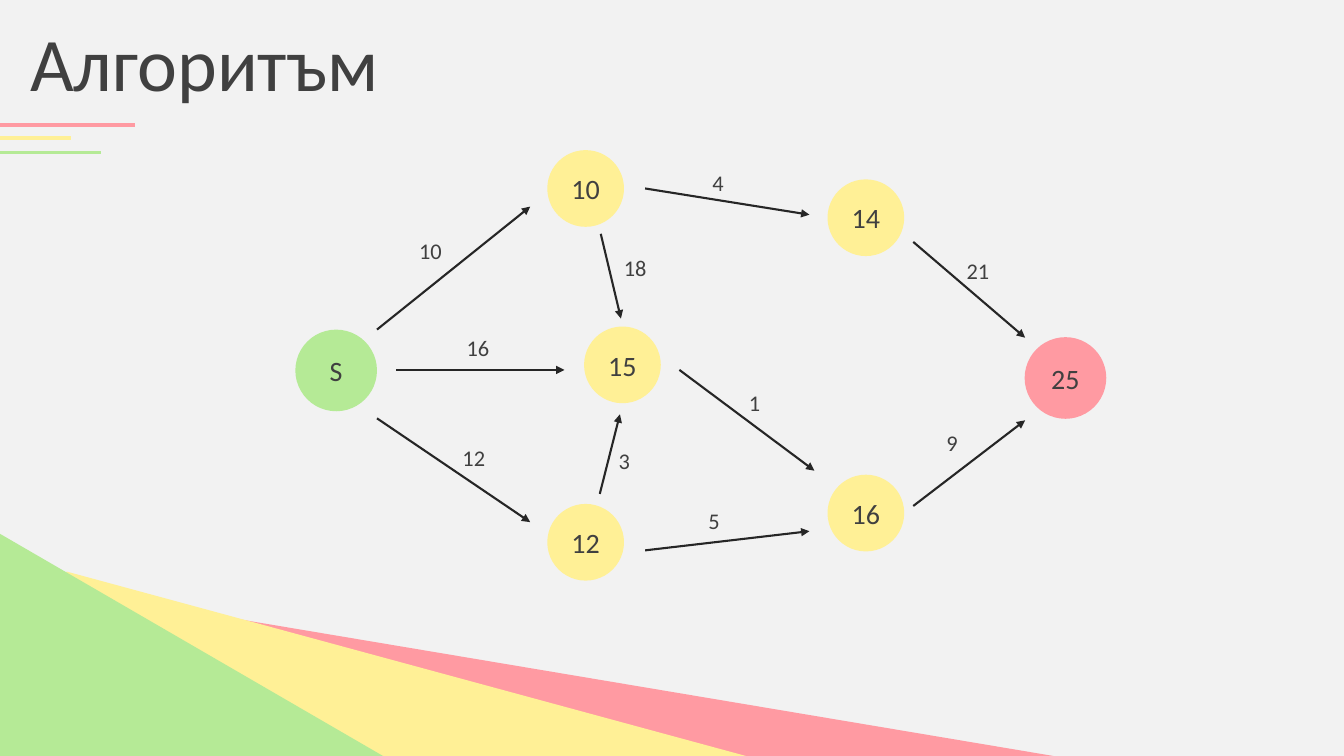
from dataclasses import dataclass
from lxml.etree import SubElement
from pptx import Presentation
from pptx.dml.color import RGBColor
from pptx.enum.shapes import MSO_CONNECTOR as Link, MSO_SHAPE as Form
from pptx.enum.text import MSO_ANCHOR as Anchor, MSO_AUTO_SIZE as Fit, PP_ALIGN as Align
from pptx.oxml.ns import qn
from pptx.util import Inches, Pt

GREEN = RGBColor(0xB5, 0xEA, 0x96)
YELLOW = RGBColor(0xFF, 0xF0, 0x96)
PINK = RGBColor(0xFF, 0x9A, 0xA2)
INK = RGBColor(0x40, 0x40, 0x40)
DARK = RGBColor(0x26, 0x26, 0x26)
PAPER = RGBColor(0xF2, 0xF2, 0xF2)

# The grid has square cells, ten to the inch
COLS, ROWS = 133.33, 75
Point = tuple[float, float]


def grid(*cells: float) -> list[int]:
    return [Inches(n / 10) for n in cells]


@dataclass
class Node:
    text: str
    mid: Point
    size: float = 7.4
    fill: RGBColor = YELLOW
    edge: bool = True


@dataclass
class Arc:
    cost: str
    start: Point
    end: Point
    label: Point


@dataclass
class Hill:
    left: float
    top: float
    width: float
    fill: RGBColor


@dataclass
class Stripe:
    row: float
    width: float
    tint: RGBColor


HILLS = [
    Hill(22.9, 61.3, 81.6, PINK),
    Hill(6.6, 56.7, 67.4, YELLOW),
    Hill(-0.1, 52.9, 38.1, GREEN),
]
STRIPES = [Stripe(12.4, 13.4, PINK), Stripe(13.7, 7, YELLOW), Stripe(15.1, 10, GREEN)]
NODES = [
    Node("S", (33.35, 36.75), 8.1, GREEN, False),
    Node("10", (58.1, 18.7)),
    Node("15", (61.75, 36.2)),
    Node("12", (58.1, 53.8)),
    Node("14", (85.9, 21.6)),
    Node("16", (85.9, 50.9)),
    Node("25", (105.7, 37.5), 8.1, PINK, False),
]
ARCS = [
    Arc("10", (37.4, 32.7), (52.6, 20.5), (40.6, 23)),
    Arc("16", (39.3, 36.7), (56, 36.7), (45.3, 32.7)),
    Arc("12", (37.4, 41.5), (52.6, 51.8), (44.9, 43.6)),
    Arc("4", (64, 18.7), (80.3, 21.3), (69.7, 16.3)),
    Arc("18", (59.6, 23.2), (61.6, 31.6), (60.9, 24.7)),
    Arc("3", (59.5, 49), (61.5, 41.1), (60.4, 43.9)),
    Arc("5", (64, 54.6), (80.3, 52.7), (69.3, 49.8)),
    Arc("1", (67.4, 36.7), (80.8, 46.7), (73.3, 38.1)),
    Arc("9", (90.6, 50.2), (101.7, 41.7), (92.9, 42.1)),
    Arc("21", (90.6, 24), (101.7, 33.5), (94.9, 25)),
]


def write(shape, text: str, size: float, align=Align.CENTER,
          anchor=Anchor.TOP, wrap: bool = True) -> None:
    frame = shape.text_frame
    frame.word_wrap = wrap
    frame.auto_size = Fit.NONE
    frame.vertical_anchor = anchor
    par = frame.paragraphs[0]
    par.alignment = align
    run = par.add_run()
    run.text = text
    run.font.name = "Calibri"
    run.font.size = Pt(size)
    run.font.color.rgb = INK


def block(slide, form, box: tuple, fill: RGBColor, edge: bool = False):
    shape = slide.shapes.add_shape(form, *grid(*box))
    shape.shadow.inherit = False
    shape.fill.solid()
    shape.fill.fore_color.rgb = fill
    if edge:
        shape.line.color.rgb = fill
        shape.line.width = Pt(1.5)
    else:
        shape.line.fill.background()
    return shape


def stroke(slide, start: Point, end: Point, tint: RGBColor,
           width: float, arrow: bool = False) -> None:
    line = slide.shapes.add_connector(Link.STRAIGHT, *grid(*start, *end))
    line.line.color.rgb = tint
    line.line.width = Pt(width)
    if arrow:
        SubElement(line.line._get_or_add_ln(), qn("a:tailEnd"), type="triangle")
    SubElement(line._element.spPr, qn("a:effectLst"))


def draw_node(slide, node: Node) -> None:
    x, y = (n - node.size / 2 for n in node.mid)
    disc = block(slide, Form.OVAL, (x, y, node.size, node.size), node.fill, node.edge)
    write(disc, node.text, 20, anchor=Anchor.MIDDLE, wrap=False)


def draw_arc(slide, arc: Arc) -> None:
    stroke(slide, arc.start, arc.end, DARK, 1.5, arrow=True)
    label = slide.shapes.add_textbox(*grid(*arc.label, 5, 3.7))
    write(label, arc.cost, 16, align=Align.LEFT)


def main() -> None:
    deck = Presentation()
    deck.slide_width, deck.slide_height = grid(COLS, ROWS)
    slide = deck.slides.add_slide(deck.slide_layouts[5])
    slide.background.fill.solid()
    slide.background.fill.fore_color.rgb = PAPER

    # Coloured slopes along the foot
    for hill in HILLS:
        box = (hill.left, hill.top, hill.width, ROWS - hill.top)
        block(slide, Form.RIGHT_TRIANGLE, box, hill.fill)

    # Title and the stripes below it
    title = slide.shapes.title
    title.left, title.top, title.width, title.height = grid(-1.7, 1.1, 44, 10.1)
    write(title, "Алгоритъм", 54)
    for bar in STRIPES:
        stroke(slide, (0, bar.row), (bar.width, bar.row), bar.tint, 2.25)

    # Weighted graph
    for arc in ARCS:
        draw_arc(slide, arc)
    for node in NODES:
        draw_node(slide, node)

    deck.save("out.pptx")


if __name__ == "__main__":
    main()
